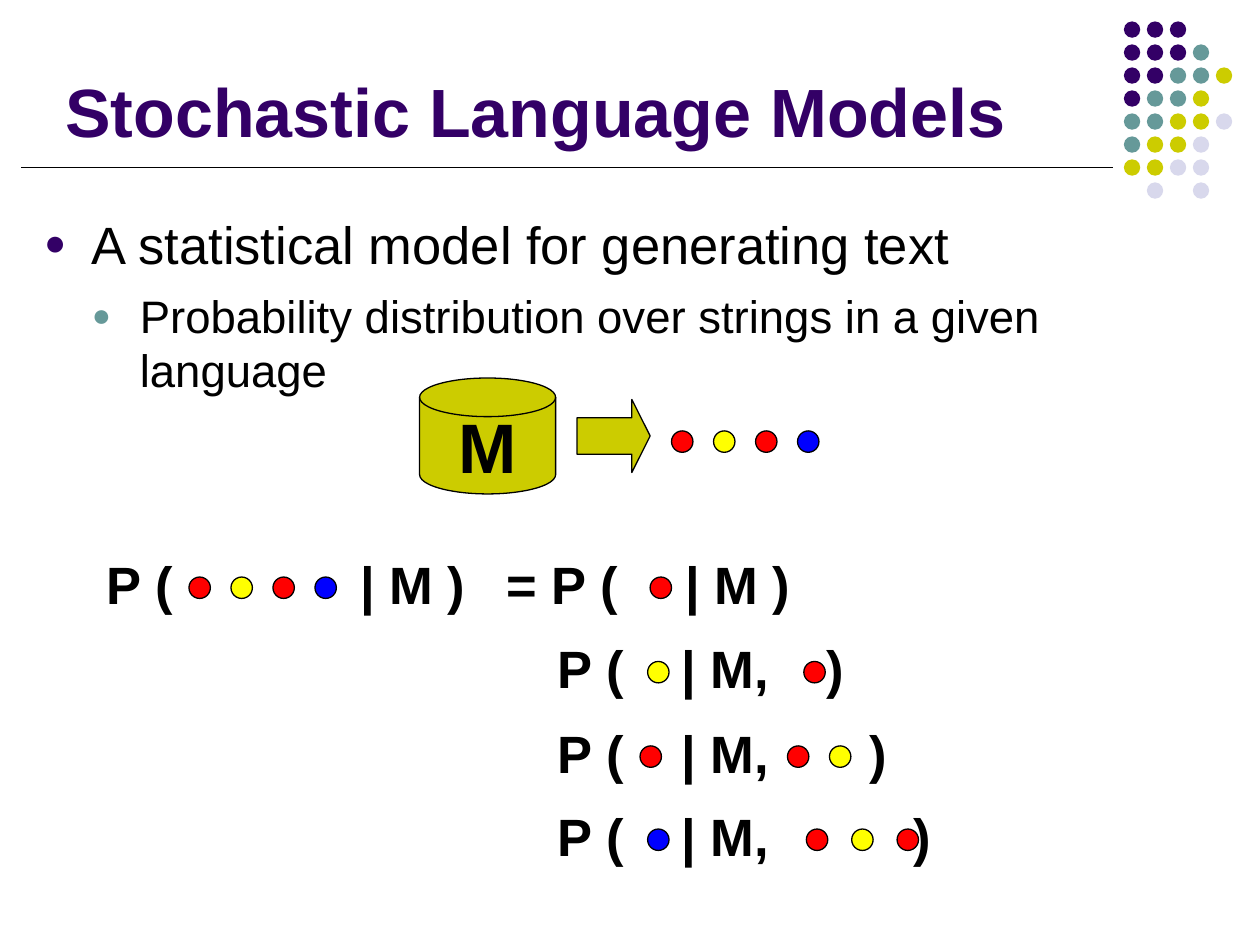
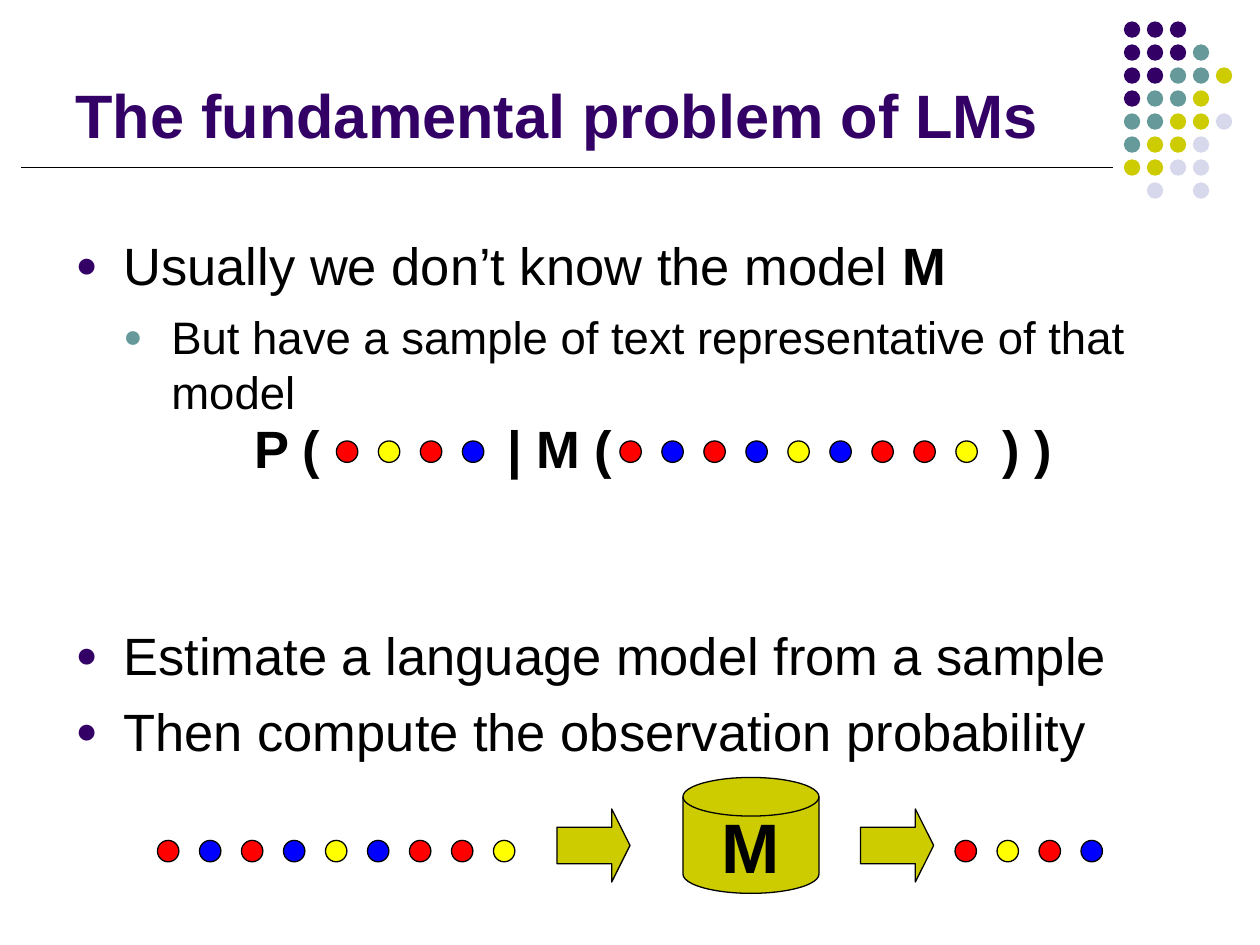
from lxml import etree
from pptx import Presentation
from pptx.dml.color import RGBColor
from pptx.enum.shapes import MSO_CONNECTOR, MSO_SHAPE
from pptx.enum.text import MSO_ANCHOR, MSO_AUTO_SIZE, PP_ALIGN
from pptx.oxml import parse_xml
from pptx.oxml.ns import nsdecls, qn
from pptx.util import Emu, Inches, Pt

OVAL = MSO_SHAPE.OVAL
ARROW = MSO_SHAPE.RIGHT_ARROW
CYLINDER = MSO_SHAPE.FLOWCHART_MAGNETIC_DISK
FONT = "Arial"
COLORS = {
    "purple": "330066", "teal": "669999", "olive": "CCCC00", "lilac": "D8D8EC",
    "red": "FF0000", "yellow": "FFFF00", "blue": "0000FF", "black": "000000",
}

# Corner pattern: one letter per dot, "." for a gap
CORNER_ROWS = ["PPP", "PPPT", "PPTTO", "PTTO", "TTOOL", "TOOL", "OOLL", ".L.L"]
CORNER_COLORS = {"P": "purple", "T": "teal", "O": "olive", "L": "lilac"}
CORNER_PITCH = 0.73 / 4

# Words of the toy language, one letter per bead
BEAD_COLORS = {"R": "red", "Y": "yellow", "B": "blue"}
BEAD_PITCH = 1 / 3
OBSERVED = "RYRB"
SAMPLE = "RBRBYBRRY"

# Bullet levels: text size, left indent, bullet colour
LEVELS = [(30, 0.38, "purple"), (26, 0.76, "teal")]

# bullets: level, space before, text, bold ending
# formulas: text, left, top, width, tab stops
# beads: letters, left, top, pitch
SLIDES = [
    {
        "title": "Stochastic Language Models", "title_size": 39,
        "title_box": (0.42, 0.25, 8.17, 1),
        "body_box": (0.25, 1.58, 9.42, 1.85),
        "bullets": [
            (0, 0, "A statistical model for generating text", ""),
            (1, 7.5, "Probability distribution over strings in a given language", ""),
        ],
        "model": (3.33, 3),
        "arrows": [(4.58, 3.17)],
        "formulas": [
            ("P (\t| M )", 0.75, 4.33, 3.17, [2.01]),
            ("= P (\t| M )", 3.92, 4.33, 2.58, [1.42]),
            ("P (\t| M,\t)", 4.33, 5, 2.58, [0.98, 2.13]),
            ("P (\t| M,\t)", 4.33, 5.67, 3.17, [0.98, 2.47]),
            ("P (\t| M,\t)", 4.33, 6.33, 3.42, [0.98, 2.82]),
        ],
        "beads": [
            (OBSERVED, 5.33, 3.42, BEAD_PITCH),
            (OBSERVED, 1.5, 4.58, BEAD_PITCH),
            ("R", 5.16, 4.58, BEAD_PITCH),
            ("Y", 5.14, 5.25, BEAD_PITCH),
            ("R", 6.38, 5.25, BEAD_PITCH),
            ("R", 5.08, 5.92, BEAD_PITCH),
            ("RY", 6.25, 5.92, BEAD_PITCH),
            ("B", 5.14, 6.58, BEAD_PITCH),
            ("RYR", 6.4, 6.58, 0.36),
        ],
    },
    {
        "title": "The fundamental problem of LMs", "title_size": 35,
        "title_box": (0.5, 0.25, 8.08, 1),
        "body_box": (0.5, 1.75, 9, 5.33),
        "bullets": [
            (0, 0, "Usually we don’t know the model ", "M"),
            (1, 7.5, "But have a sample of text representative of that model", ""),
            (0, 117, "Estimate a language model from a sample", ""),
            (0, 7.5, "Then compute the observation probability", ""),
        ],
        "model": (5.42, 6.17),
        "arrows": [(4.42, 6.42), (6.83, 6.42)],
        "formulas": [("P (\t| M (\t) )", 1.92, 3.25, 7.08, [2.01, 5.94])],
        "beads": [
            (OBSERVED, 2.67, 3.5, BEAD_PITCH),
            (SAMPLE, 4.92, 3.5, BEAD_PITCH),
            (SAMPLE, 1.25, 6.67, BEAD_PITCH),
            (OBSERVED, 7.58, 6.67, BEAD_PITCH),
        ],
    },
]


def add_figure(slide, kind, left, top, width, height, color, outlined=True):
    figure = slide.shapes.add_shape(
        kind, Inches(left), Inches(top), Inches(width), Inches(height))
    figure.shadow.inherit = False
    figure.fill.solid()
    figure.fill.fore_color.rgb = RGBColor.from_string(COLORS[color])
    if outlined:
        figure.line.color.rgb = RGBColor.from_string(COLORS["black"])
        figure.line.width = Pt(0.75)
    else:
        figure.line.fill.background()
    return figure


def style_runs(paragraph, size, color="black", bold=False):
    for run in paragraph.runs:
        run.font.name = FONT
        run.font.size = Pt(size)
        run.font.bold = bold
        run.font.color.rgb = RGBColor.from_string(COLORS[color])


prs = Presentation()
prs.slide_width = Inches(10)
prs.slide_height = Inches(7.5)

for content in SLIDES:
    slide = prs.slides.add_slide(prs.slide_layouts[1])
    title, body = slide.shapes.title, slide.placeholders[1]

    # Corner dots and the rule under the title
    for row, letters in enumerate(CORNER_ROWS):
        for column, letter in enumerate(letters):
            if letter != ".":
                add_figure(slide, OVAL, 8.92 + column * CORNER_PITCH,
                           0.17 + row * CORNER_PITCH, 0.13, 0.13,
                           CORNER_COLORS[letter], outlined=False)
    rule = slide.shapes.add_connector(
        MSO_CONNECTOR.STRAIGHT, Inches(0.17), Inches(1.33), Inches(8.83), Inches(1.33))
    rule.line.color.rgb = RGBColor.from_string(COLORS["black"])
    rule.line.width = Pt(0.75)
    etree.SubElement(rule._element.spPr, qn("a:effectLst"))

    # Title and body boxes
    for holder, box in ((title, content["title_box"]), (body, content["body_box"])):
        holder.left, holder.top, holder.width, holder.height = map(Inches, box)
        holder.text_frame.auto_size = MSO_AUTO_SIZE.NONE
    title.text_frame.text = content["title"]
    title.text_frame.vertical_anchor = MSO_ANCHOR.BOTTOM
    title.text_frame.paragraphs[0].alignment = PP_ALIGN.LEFT
    style_runs(title.text_frame.paragraphs[0], content["title_size"], "purple", True)

    # Bulleted list
    body.text_frame.margin_top = Inches(0.1)
    for index, (level, space, text, bold_end) in enumerate(content["bullets"]):
        size, indent, bullet_color = LEVELS[level]
        paragraph = (body.text_frame.add_paragraph() if index
                     else body.text_frame.paragraphs[0])
        paragraph.text = text
        paragraph.level = level
        props = paragraph._p.get_or_add_pPr()
        props.set("marL", str(Inches(indent)))
        props.set("indent", str(-Inches(0.38)))
        for bullet_xml in (
            f'<a:buClr {nsdecls("a")}><a:srgbClr val="{COLORS[bullet_color]}"/></a:buClr>',
            f'<a:buSzPct {nsdecls("a")} val="70000"/>',
            f'<a:buChar {nsdecls("a")} char="●"/>',
        ):
            props.append(parse_xml(bullet_xml))
        paragraph.space_before = Pt(space)
        style_runs(paragraph, size)
        if bold_end:
            paragraph.add_run().text = bold_end
            style_runs(paragraph, size)
            paragraph.runs[-1].font.bold = True

    # Language model and its arrows
    model = add_figure(slide, CYLINDER, *content["model"], 1.08, 0.92, "olive")
    model.text_frame.text = "M"
    model.text_frame.word_wrap = False
    model.text_frame.vertical_anchor = MSO_ANCHOR.MIDDLE
    model.text_frame.paragraphs[0].alignment = PP_ALIGN.CENTER
    style_runs(model.text_frame.paragraphs[0], 40, bold=True)
    for left, top in content["arrows"]:
        arrow = add_figure(slide, ARROW, left, top, 0.58, 0.58, "olive")
        arrow.adjustments[0], arrow.adjustments[1] = 0.5, 0.25

    # Probability formulas, with tab stops leaving room for the beads
    for text, left, top, width, stops in content["formulas"]:
        formula = slide.shapes.add_textbox(
            Inches(left), Inches(top), Inches(width), Inches(0.58)).text_frame
        formula.word_wrap = True
        formula.text = text
        tabs = etree.SubElement(formula.paragraphs[0]._p.get_or_add_pPr(), qn("a:tabLst"))
        for stop in stops:
            etree.SubElement(tabs, qn("a:tab"), pos=str(Emu(Inches(stop))), algn="l")
        style_runs(formula.paragraphs[0], 30, bold=True)

    # Strings of beads
    for letters, left, top, pitch in content["beads"]:
        for index, letter in enumerate(letters):
            add_figure(slide, OVAL, left + index * pitch, top, 0.17, 0.17,
                       BEAD_COLORS[letter])

prs.save("out.pptx")
